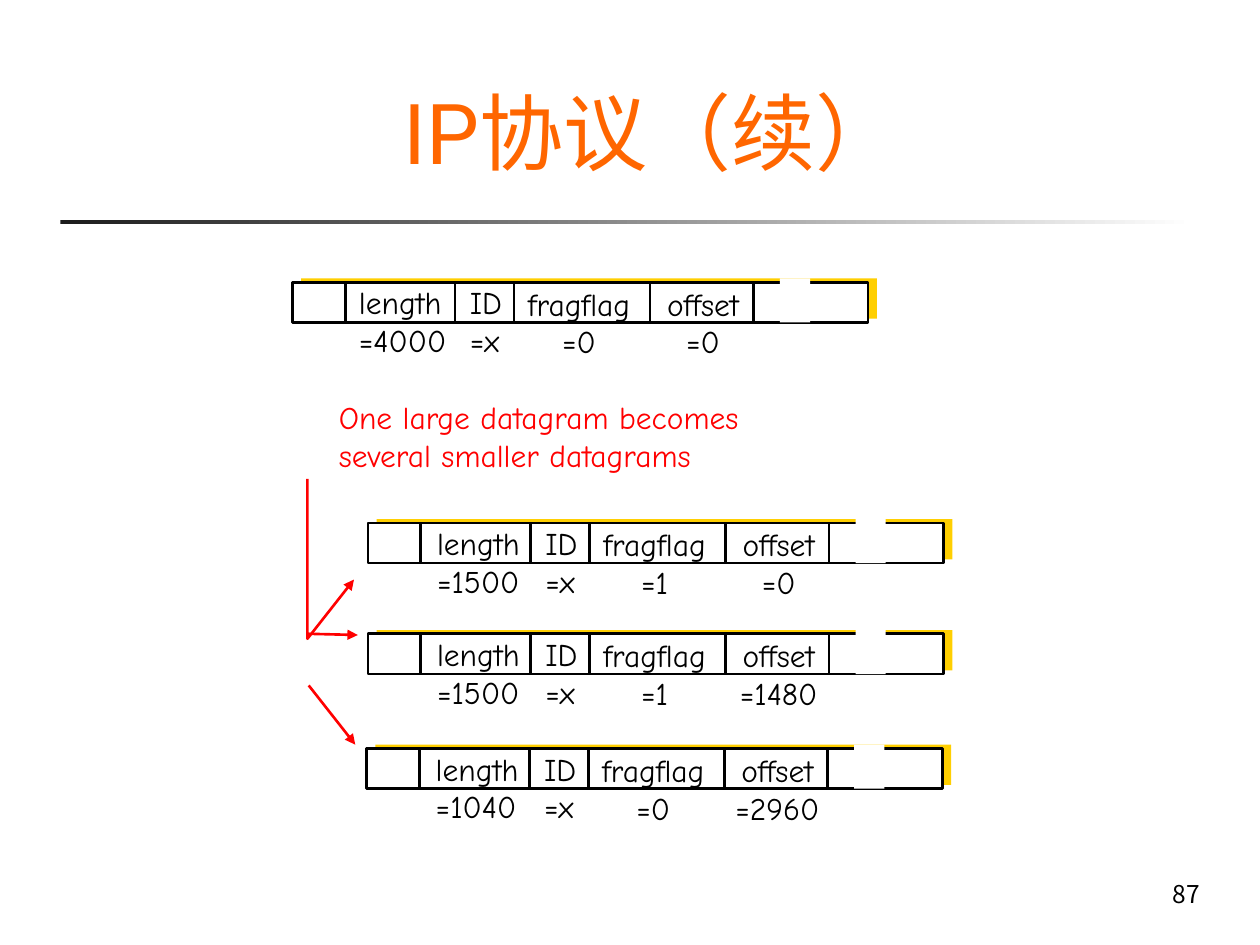
from lxml import etree
from pptx import Presentation
from pptx.dml.color import RGBColor
from pptx.enum import shapes, text
from pptx.oxml import ns
from pptx.util import Inches, Pt

COLORS = {
    "orange": "FF6600", "red": "FF0000", "black": "000000",
    "white": "FFFFFF", "gold": "FFCF01", "rule": "1C1C1C",
}
LATIN, CJK, HAND = "Roboto", "Noto Sans CJK SC", "Comic Neue"

TITLE = "IP协议（续）"
PAGE = "87"
CAPTION = ["One large datagram becomes", "several smaller datagrams"]

# field: name, centre from the left of the datagram, lift above its top, alignment
FIELDS = [
    ("ID", 1.535, 0.04, "LEFT"),
    ("offset", 3.26, 0.03, "CENTER"),
    ("fragflag", 2.275, 0.03, "CENTER"),
    ("length", 0.875, 0.04, "LEFT"),
]
DATAGRAMS = [
    {"at": (2.32, 2.24), "ID": ("=x", 0.45), "offset": ("=0", 0.77),
     "fragflag": ("=0", 1.01), "length": ("=4000", 0.89)},
    {"at": (2.92, 4.15), "ID": ("=x", 0.45), "offset": ("=0", 0.77),
     "fragflag": ("=1", 1.01), "length": ("=1500", 0.85)},
    {"at": (2.92, 5.03), "ID": ("=x", 0.45), "offset": ("=1480", 0.81),
     "fragflag": ("=1", 1.01), "length": ("=1500", 0.85)},
    {"at": (2.91, 5.94), "ID": ("=x", 0.45), "offset": ("=2960", 0.86),
     "fragflag": ("=0", 1.01), "length": ("=1040", 0.85)},
]
DIVIDERS = [(0.42, 0), (1.29, 0), (1.76, 0.01), (2.84, 0), (3.66, 0)]
BAR_W, BAR_H = 4.57, 0.32
BENT_ARROW = [(2.44, 3.8), (2.44, 5.07), (2.81, 4.6)]
ARROWS = [(2.44, 5.03, 2.84, 5.04), (2.45, 5.44, 2.82, 5.91)]


def rgb(name):
    """Return the named colour."""
    return RGBColor.from_string(COLORS[name])


def write(box, lines, size=18, font=HAND, color="black", align="LEFT",
          anchor="TOP", wrap=False):
    """Fill a shape with formatted paragraphs."""
    frame = box.text_frame
    frame.word_wrap = wrap
    frame.auto_size = text.MSO_AUTO_SIZE.NONE
    frame.vertical_anchor = getattr(text.MSO_ANCHOR, anchor)
    frame.text = "\n".join(lines)
    for paragraph in frame.paragraphs:
        paragraph.alignment = getattr(text.PP_ALIGN, align)
        for run in paragraph.runs:
            run.font.size, run.font.name = Pt(size), font
            run.font.color.rgb = rgb(color)
            east_asian = etree.SubElement(run.font._element, ns.qn("a:ea"))
            east_asian.set("typeface", CJK)


def textbox(parent, at, lines, **style):
    """Add a text box at left, top, width, height."""
    write(parent.add_textbox(*map(Inches, at)), lines, **style)


def rectangle(parent, at, fill, outline=None):
    """Add a flat rectangle."""
    bar = parent.add_shape(shapes.MSO_SHAPE.RECTANGLE, *map(Inches, at))
    bar.shadow.inherit = False
    bar.fill.solid()
    bar.fill.fore_color.rgb = rgb(fill)
    if outline:
        stroke(bar, outline)
    else:
        bar.line.fill.background()
    return bar


def stroke(item, color, arrow=False):
    """Colour an outline and optionally end it with an arrowhead."""
    item.line.color.rgb = rgb(color)
    item.line.width = Pt(1.5)
    if arrow:
        tail = etree.SubElement(item.line._get_or_add_ln(), ns.qn("a:tailEnd"))
        tail.set("type", "triangle")


def line(parent, ends, color, arrow=False):
    """Add a straight line between two points."""
    link = parent.add_connector(shapes.MSO_CONNECTOR.STRAIGHT, *map(Inches, ends))
    stroke(link, color, arrow)
    etree.SubElement(link._element.spPr, ns.qn("a:effectLst"))


def datagram(slide, packet):
    """Draw one datagram with its fields as a group."""
    left, top = packet["at"]
    parent = slide.shapes.add_group_shape().shapes
    rectangle(parent, (left + 0.07, top - 0.03, BAR_W, BAR_H), "gold")
    rectangle(parent, (left, top, BAR_W, BAR_H), "white", "black")
    for name, centre, lift, align in FIELDS:
        value, width = packet[name]
        at = (left + centre - width / 2, top - lift, width, 0.7)
        textbox(parent, at, [name, value], align=align)
    for x, drop in DIVIDERS:
        line(parent, (left + x, top + drop, left + x, top + drop + BAR_H), "black")
    rectangle(parent, (left + 3.87, top - 0.03, 0.24, 0.35), "white")


def main():
    """Build the fragmentation slide."""
    deck = Presentation()
    deck.slide_width, deck.slide_height = Inches(10), Inches(7.5)
    slide = deck.slides.add_slide(deck.slide_layouts[5])

    rule = rectangle(slide.shapes, (0.48, 1.75, 9, 0.03), "rule")
    rule.fill.gradient()
    rule.fill.gradient_angle = 0
    for stop, color, position in zip(rule.fill.gradient_stops, ("rule", "white"), (0, 1)):
        stop.color.rgb, stop.position = rgb(color), position
    textbox(slide.shapes, (9.04, 6.93, 0.58, 0.36), [PAGE],
            size=14, font=CJK, align="RIGHT", wrap=True)

    title = slide.shapes.title
    title.left, title.top, title.width, title.height = map(Inches, (0.92, 0.5, 8.5, 0.99))
    write(title, [TITLE], size=48, font=LATIN, color="orange",
          align="CENTER", anchor="BOTTOM", wrap=True)

    for packet in DATAGRAMS:
        datagram(slide, packet)

    start, *bends = [tuple(map(Inches, point)) for point in BENT_ARROW]
    builder = slide.shapes.build_freeform(*start)
    builder.add_line_segments(bends, close=False)
    bent = builder.convert_to_shape()
    bent.shadow.inherit = False
    bent.fill.background()
    stroke(bent, "red", arrow=True)
    for ends in ARROWS:
        line(slide.shapes, ends, "red", arrow=True)
    textbox(slide.shapes, (2.59, 3.11, 3.39, 0.7), CAPTION, color="red")

    deck.save("out.pptx")


if __name__ == "__main__":
    main()
